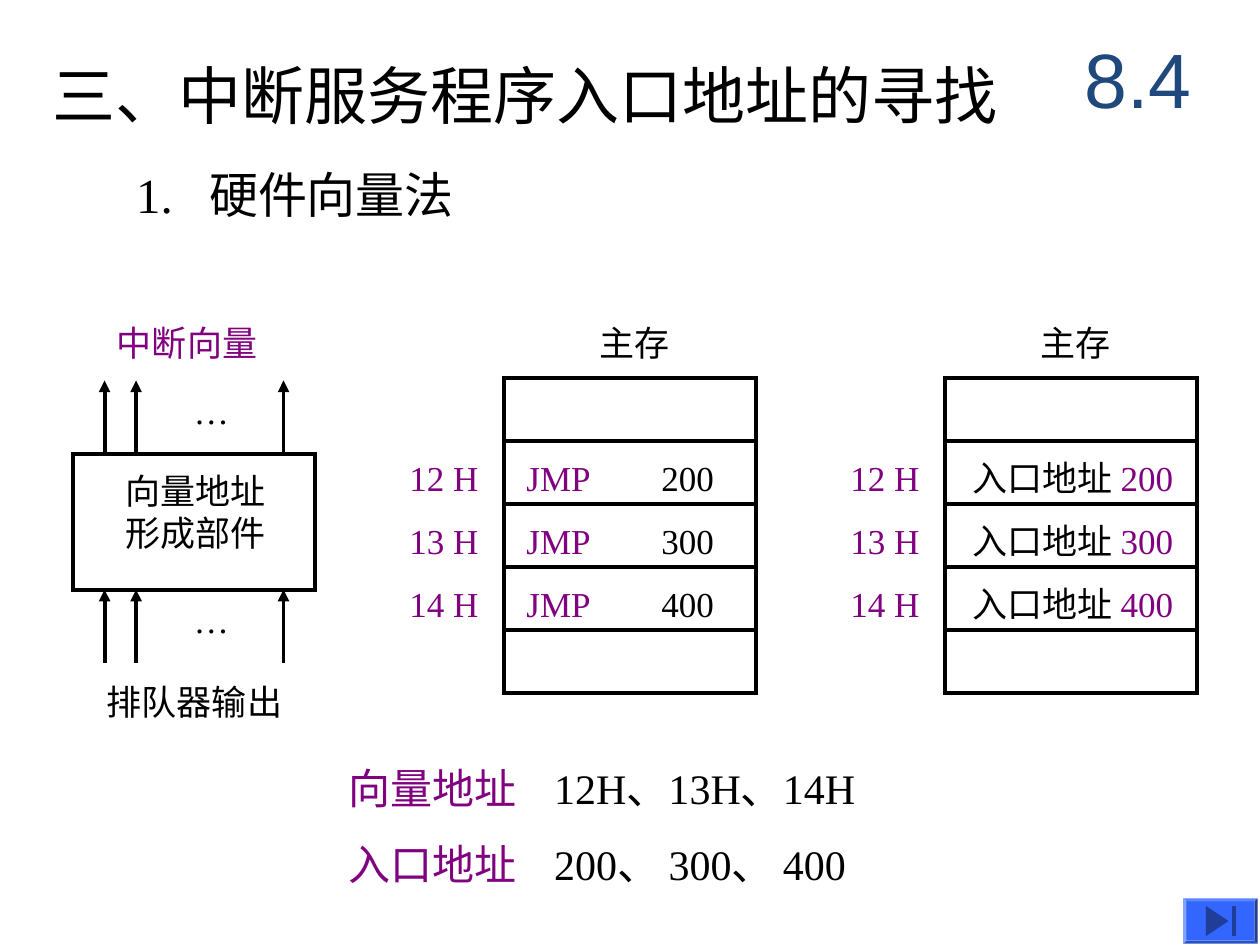
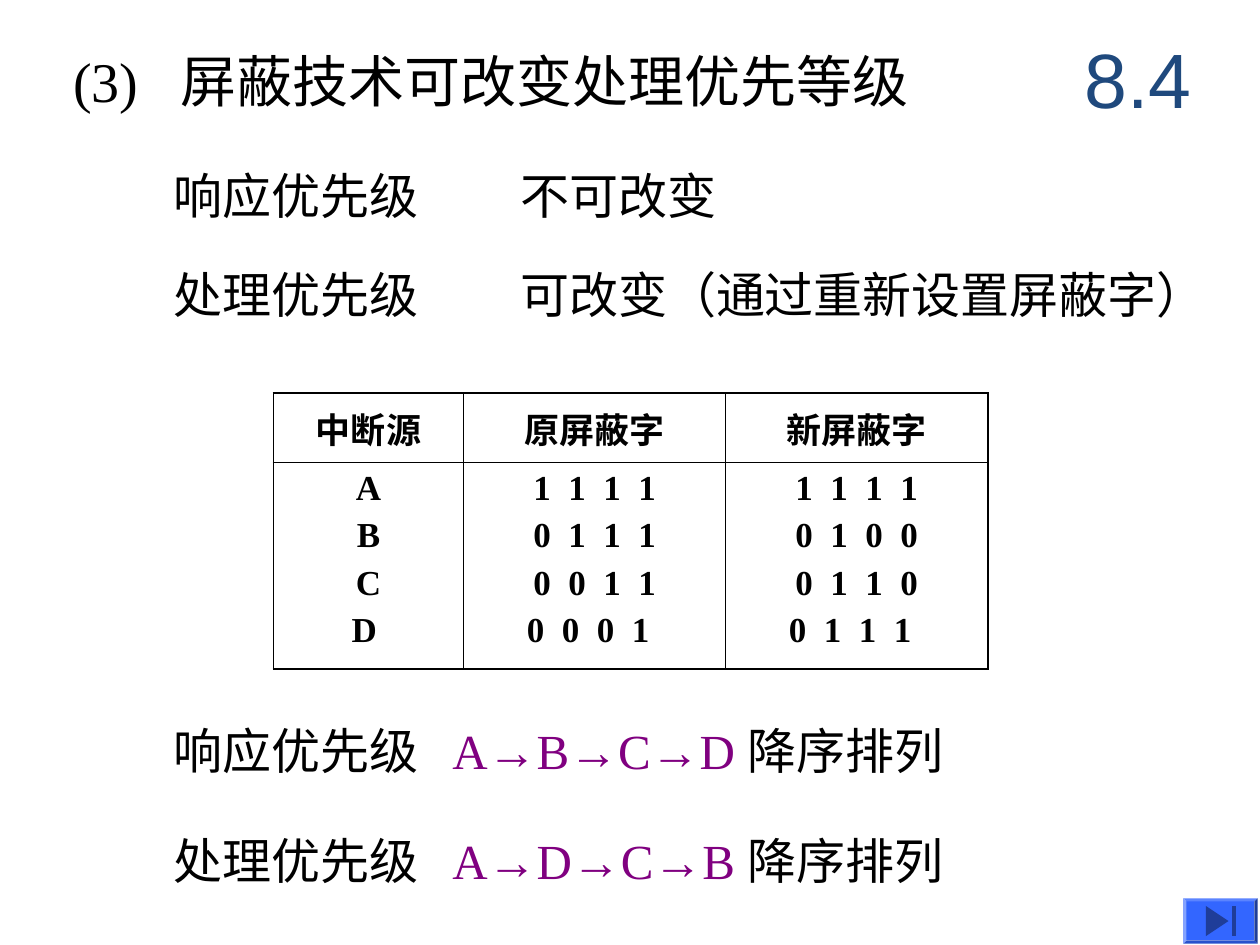
from lxml.etree import SubElement
from pptx import Presentation
from pptx.dml.color import RGBColor
from pptx.enum.shapes import MSO_CONNECTOR, MSO_SHAPE
from pptx.enum.text import MSO_ANCHOR, MSO_AUTO_SIZE, PP_ALIGN
from pptx.oxml.ns import qn
from pptx.util import Inches, Pt

BLACK, PURPLE, NAVY = "000000", "800080", "1F497D"
BUTTON_BLUE, BUTTON_ICON = "3366FF", "1F3D99"
SERIF, SANS = "Times New Roman", "Arial"
LINE_WIDTH = Pt(2.25)
ROW_HEIGHT = 0.5
FLUSH = (0, 0.05)
PADDED = (0.1, 0.05)
BARE = (0, 0)


def color(hex_string):
    return RGBColor.from_string(hex_string)


def set_all(target, values):
    for name, value in values.items():
        setattr(target, name, value)


def fill_para(para, spans, size, font=SERIF, bold=False, tab=None):
    if tab:
        tabs = SubElement(para._p.get_or_add_pPr(), qn("a:tabLst"))
        SubElement(tabs, qn("a:tab"), pos=str(Inches(tab)), algn="l")
    for text, ink in spans:
        span = para.add_run()
        span.text = text
        set_all(span.font, {"size": Pt(size), "name": font, "bold": bold})
        span.font.color.rgb = color(ink)


def set_text(shape, lines, size, inset=PADDED, anchor=MSO_ANCHOR.TOP, wrap=False,
             align=PP_ALIGN.LEFT, gap=0, font=SERIF, tab=None):
    frame = shape.text_frame
    side, end = (Inches(value) for value in inset)
    set_all(frame, {"auto_size": MSO_AUTO_SIZE.NONE, "word_wrap": wrap,
                    "vertical_anchor": anchor, "margin_left": side,
                    "margin_right": side, "margin_top": end, "margin_bottom": end})
    for index, spans in enumerate(lines):
        para = frame.add_paragraph() if index else frame.paragraphs[0]
        fill_para(para, spans, size, font, tab=tab)
        para.alignment = align
        if index:
            para.space_before = Pt(gap)


def add_text(page, box, lines, size, **layout):
    shape = page.shapes.add_textbox(*map(Inches, box))
    set_text(shape, lines, size, **layout)


def add_middle(page, box, spans, size, inset=BARE, tab=None):
    add_text(page, box, [spans], size, inset=inset, anchor=MSO_ANCHOR.MIDDLE, tab=tab)


def add_frame(page, box):
    frame = page.shapes.add_shape(MSO_SHAPE.RECTANGLE, *map(Inches, box))
    frame.shadow.inherit = False
    frame.fill.background()
    frame.line.color.rgb = color(BLACK)
    frame.line.width = LINE_WIDTH
    SubElement(frame.line._get_or_add_ln(), qn("a:miter"), lim="800000")


def add_up_arrow(page, x, bottom, top):
    arrow = page.shapes.add_connector(
        MSO_CONNECTOR.STRAIGHT, *map(Inches, (x, bottom, x, top)))
    arrow.line.color.rgb = color(BLACK)
    arrow.line.width = LINE_WIDTH
    SubElement(arrow.line._get_or_add_ln(), qn("a:tailEnd"), type="triangle")
    SubElement(arrow._element.spPr, qn("a:effectLst"))


def paint_flat(shape, ink):
    shape.shadow.inherit = False
    shape.fill.solid()
    shape.fill.fore_color.rgb = color(ink)
    shape.line.fill.background()


def add_icon_part(page, points):
    corners = [tuple(map(Inches, point)) for point in points]
    outline = page.shapes.build_freeform(*corners[0])
    outline.add_line_segments(corners[1:])
    paint_flat(outline.convert_to_shape(), BUTTON_ICON)


def add_end_button(page, left, top, width, height):
    button = page.shapes.add_shape(
        MSO_SHAPE.BEVEL, *map(Inches, (left, top, width, height)))
    button.adjustments[0] = 0.07
    paint_flat(button, BUTTON_BLUE)
    upper, middle, lower = top + 0.06, top + height / 2, top + height - 0.06
    start, tip, bar, end = (left + offset for offset in (0.18, 0.36, 0.39, 0.42))
    add_icon_part(page, [(start, upper), (tip, middle), (start, lower)])
    add_icon_part(page, [(bar, upper), (end, upper), (end, lower), (bar, lower)])


def add_page(deck, title, box, size, inset, tab=None):
    page = deck.slides.add_slide(deck.slide_layouts[5])
    heading = page.shapes.title
    left, top, width, height = map(Inches, box)
    set_all(heading, {"left": left, "top": top, "width": width, "height": height})
    set_text(heading, [[(title, BLACK)]], size, inset=inset,
             anchor=MSO_ANCHOR.MIDDLE, tab=tab)
    add_text(page, (8.41, 0.16, 1.25, 0.92), [[("8.4", NAVY)]], 44, wrap=True,
             anchor=MSO_ANCHOR.MIDDLE, align=PP_ALIGN.CENTER, font=SANS)
    add_end_button(page, 9.39, 7.13, 0.59, 0.36)
    return page


def add_vector_unit(page, left, top):
    unit_top, unit_height, arrow_length = top + 1.1, 1.08, 0.58
    add_text(page, (left + 0.25, top, 1.83, 0.44), [[("中断向量", PURPLE)]], 20, wrap=True)
    add_frame(page, (left, unit_top, 1.92, unit_height))
    add_text(page, (left + 0.32, unit_top + 0.08, 1.31, 0.77),
             [[("向量地址", BLACK)], [("形成部件", BLACK)]], 20)
    for tip in (unit_top - arrow_length, unit_top + unit_height):
        for offset in (0.25, 0.5, 1.67):
            add_up_arrow(page, left + offset, tip + arrow_length, tip)
        add_text(page, (left + 0.86, tip + 0.02, 0.48, 0.44), [[("…", BLACK)]], 20)
    add_text(page, (left + 0.17, top + 2.85, 2.33, 0.44),
             [[("排队器输出", BLACK)]], 20, wrap=True)


def add_memory(page, left, top, entries, entry_offset, tab=None):
    add_text(page, (left + 0.66, top - 0.5, 0.75, 0.44), [[("主存", BLACK)]], 20)
    for row in range(len(entries) + 2):
        add_frame(page, (left, top + row * ROW_HEIGHT, 2, ROW_HEIGHT))
    for row, (address, spans) in enumerate(entries, 1):
        row_top = top + row * ROW_HEIGHT
        add_middle(page, (left - 0.75, row_top, 0.67, 0.58),
                   [(address, PURPLE)], 20, inset=FLUSH)
        add_text(page, (left + entry_offset, row_top + 0.07, 1.88, 0.44),
                 [spans], 20, tab=tab)


def build_vector_page(deck):
    page = add_page(deck, "三、中断服务程序入口地址的寻找",
                    (0.42, 0.41, 9.5, 0.67), 36, FLUSH)
    add_middle(page, (1.08, 1.25, 4.25, 0.58), [("1.\t硬件向量法", BLACK)], 28,
               inset=FLUSH, tab=0.58)
    add_vector_unit(page, 0.58, 2.5)
    entries = {"12 H": "200", "13 H": "300", "14 H": "400"}
    jumps = [(address, [("JMP\t", PURPLE), (target, BLACK)])
             for address, target in entries.items()]
    pointers = [(address, [("入口地址 ", BLACK), (target, PURPLE)])
                for address, target in entries.items()]
    add_memory(page, 4, 3, jumps, 0.08, tab=1.07)
    add_memory(page, 7.5, 3, pointers, 0.12)
    add_text(page, (2.67, 6, 7.2, 1.11),
             [[("向量地址\t", PURPLE), ("12H、13H、14H", BLACK)],
              [("入口地址\t", PURPLE), ("200、 300、 400", BLACK)]],
             24, wrap=True, gap=15, tab=1.63)


def set_cell_borders(cell, widths):
    properties = cell._tc.get_or_add_tcPr()
    for side, width in widths.items():
        line = SubElement(properties, qn(f"a:{side}"), w=str(Pt(width)))
        solid = SubElement(line, qn("a:solidFill"))
        SubElement(solid, qn("a:srgbClr"), val=BLACK)


def fill_cell(cell, lines, spread):
    for index, text in enumerate(lines):
        frame = cell.text_frame
        para = frame.add_paragraph() if index else frame.paragraphs[0]
        fill_para(para, [(text, BLACK)], 20, bold=True)
        para.alignment = PP_ALIGN.CENTER
        if index:
            para.space_before = Pt(5)
        if spread:
            para.runs[0]._r.get_or_add_rPr().set("spc", "250")


def add_mask_table(page, left, top):
    widths, heights = (1.51, 2.08, 2.08), (0.55, 1.64)
    rows = [
        [["中断源"], ["原屏蔽字"], ["新屏蔽字"]],
        [["A", "B", "C", "D "],
         ["1 1 1 1", "0 1 1 1", "0 0 1 1", "0 0 0 1 "],
         ["1 1 1 1", "0 1 0 0", "0 1 1 0", "0 1 1 1 "]],
    ]
    table = page.shapes.add_table(
        2, 3, *map(Inches, (left, top, sum(widths), sum(heights)))).table
    set_all(table, {"first_row": False, "horz_banding": False})
    for column, width in zip(table.columns, widths):
        column.width = Inches(width)
    for row, (lines_by_column, height) in enumerate(zip(rows, heights)):
        table.rows[row].height = Inches(height)
        for column, lines in enumerate(lines_by_column):
            cell = table.cell(row, column)
            fill_cell(cell, lines, spread=row > 0 and column > 0)
            cell.vertical_anchor = MSO_ANCHOR.TOP if row else MSO_ANCHOR.MIDDLE
            outer = {"lnL": column == 0, "lnR": column == 2,
                     "lnT": row == 0, "lnB": row == 1}
            set_cell_borders(cell, {side: 1.08 if edge else 0.45
                                    for side, edge in outer.items()})
            cell.fill.background()


def build_mask_page(deck):
    page = add_page(deck, "(3)\t屏蔽技术可改变处理优先等级",
                    (0.58, 0.36, 7.49, 0.55), 32, BARE, tab=0.85)
    levels = [("响应优先级", "不可改变", 1.31, "A→B→C→D ", 5.72),
              ("处理优先级", "可改变（通过重新设置屏蔽字）", 2.1, "A→D→C→B ", 6.59)]
    for level, change, top, order, order_top in levels:
        add_middle(page, (1.38, top, 2.34, 0.47), [(level, BLACK)], 28)
        add_middle(page, (4.13, top, 5.45, 0.47), [(change, BLACK)], 28)
        add_middle(page, (1.38, order_top, 7.17, 0.47),
                   [(level + "\t", BLACK), (order, PURPLE), ("降序排列", BLACK)],
                   28, tab=2.21)
    add_mask_table(page, 2.17, 3.12)


def main():
    deck = Presentation()
    set_all(deck, {"slide_width": Inches(10), "slide_height": Inches(7.5)})
    build_vector_page(deck)
    build_mask_page(deck)
    deck.save("out.pptx")


if __name__ == "__main__":
    main()
